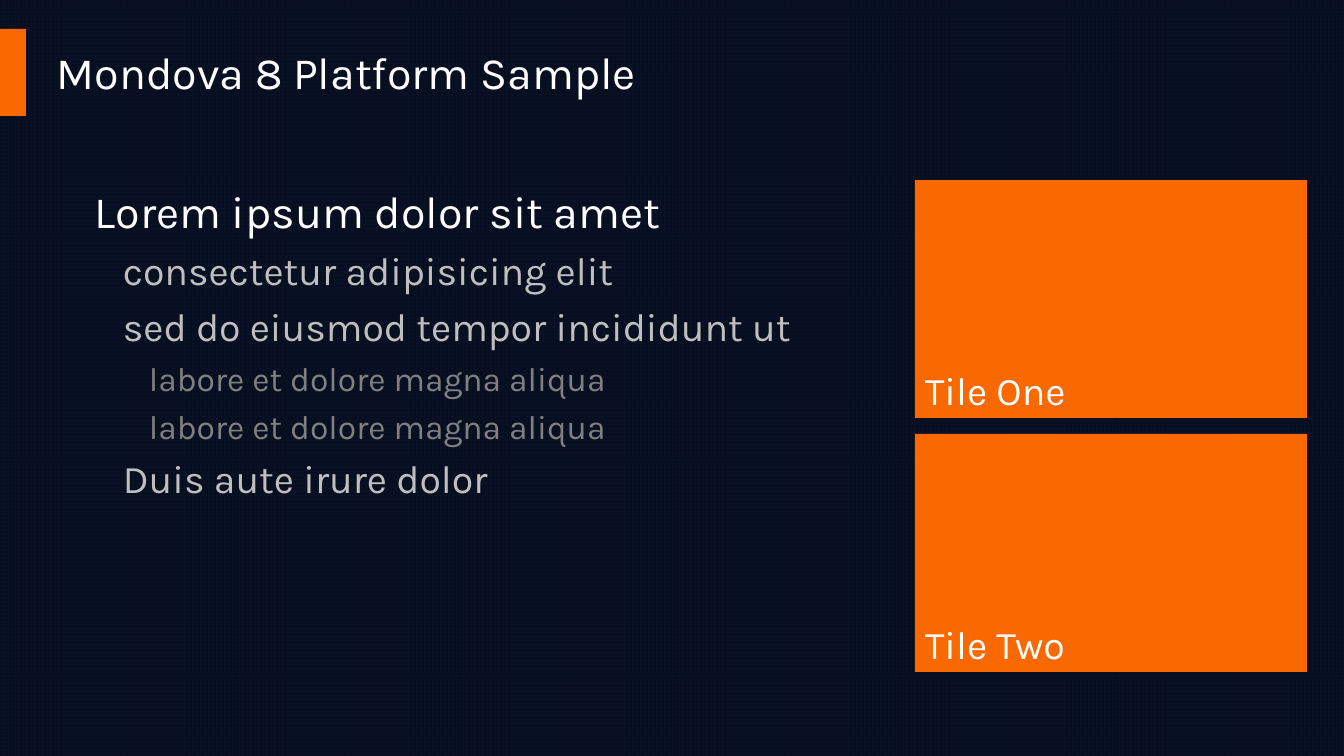
"""Build a dark platform sample slide with a text outline and two tiles."""
from dataclasses import dataclass

from pptx import Presentation
from pptx.dml.color import RGBColor as Color
from pptx.enum.dml import MSO_PATTERN as Pattern
from pptx.enum.shapes import MSO_SHAPE as Shape
from pptx.enum.text import MSO_ANCHOR as Anchor, PP_ALIGN as Align
from pptx.util import Emu, Pt

TITLE = "Mondova 8 Platform Sample"
OUTLINE = [
    (0, "Lorem ipsum dolor sit amet"),
    (1, "consectetur adipisicing elit"),
    (1, "sed do eiusmod tempor incididunt ut"),
    (2, "labore et dolore magna aliqua"),
    (2, "labore et dolore magna aliqua"),
    (1, "Duis aute irure dolor"),
]
TILES = ["Tile One", "Tile Two"]

SLIDE_SIZE = (1344, 756)
ACCENT_BAR = (0, 29, 26, 87)
TITLE_BOX = (47, 29, 953, 86)
OUTLINE_BOX = (85, 179, 786, 499)
TILE_LEFT, TILE_TOP, TILE_WIDTH, TILE_HEIGHT, TILE_GAP = 915, 180, 392, 238, 16


@dataclass(frozen=True)
class Theme:
    font: str = "Karla"
    accent: str = "FA6800"
    grid: str = "091225"
    backdrop: str = "070E1F"
    white: str = "FFFFFF"
    level_colors: tuple = ("FFFFFF", "BFBFBF", "808080")
    level_sizes: tuple = (32, 28, 24)
    level_indents: tuple = (0, 28, 54)
    title_size: int = 32
    tile_size: int = 28
    space_ratio: float = 0.23


THEME = Theme()


def px(length):
    return Emu(round(length * 914400 / 100.8))


def add_rect(page, bounds):
    rect = page.shapes.add_shape(Shape.RECTANGLE, *map(px, bounds))
    rect.shadow.inherit = False
    rect.fill.solid()
    rect.fill.fore_color.rgb = Color.from_string(THEME.accent)
    rect.line.fill.background()
    return rect


def write(para, text, *, size, color, indent=0, space_ratio=0):
    para.alignment = Align.LEFT
    para.space_before = Pt(round(size * space_ratio, 1))
    para._p.get_or_add_pPr().set("marL", str(px(indent)))
    span = para.add_run()
    span.text = text
    span.font.name = THEME.font
    span.font.size = Pt(size)
    span.font.color.rgb = Color.from_string(color)


def add_text_frame(page, bounds, anchor):
    frame = page.shapes.add_textbox(*map(px, bounds)).text_frame
    frame.word_wrap = True
    frame.vertical_anchor = anchor
    return frame


def add_outline(page):
    frame = add_text_frame(page, OUTLINE_BOX, Anchor.TOP)
    for index, (level, text) in enumerate(OUTLINE):
        para = frame.add_paragraph() if index else frame.paragraphs[0]
        para.level = level
        write(para, text, size=THEME.level_sizes[level],
              color=THEME.level_colors[level],
              indent=THEME.level_indents[level], space_ratio=THEME.space_ratio)


def add_tiles(page):
    for index, label in enumerate(TILES):
        top = TILE_TOP + index * (TILE_HEIGHT + TILE_GAP)
        tile = add_rect(page, (TILE_LEFT, top, TILE_WIDTH, TILE_HEIGHT))
        tile.text_frame.vertical_anchor = Anchor.BOTTOM
        write(tile.text_frame.paragraphs[0], label, size=THEME.tile_size,
              color=THEME.white, space_ratio=THEME.space_ratio)


def main():
    deck = Presentation()
    deck.slide_width, deck.slide_height = map(px, SLIDE_SIZE)
    page = deck.slides.add_slide(deck.slide_layouts[6])
    fill = page.background.fill
    fill.patterned()
    fill.pattern = Pattern.LARGE_GRID
    fill.fore_color.rgb = Color.from_string(THEME.grid)
    fill.back_color.rgb = Color.from_string(THEME.backdrop)

    add_rect(page, ACCENT_BAR)
    title = add_text_frame(page, TITLE_BOX, Anchor.MIDDLE)
    write(title.paragraphs[0], TITLE, size=THEME.title_size, color=THEME.white)
    add_tiles(page)
    add_outline(page)
    deck.save("out.pptx")


if __name__ == "__main__":
    main()
